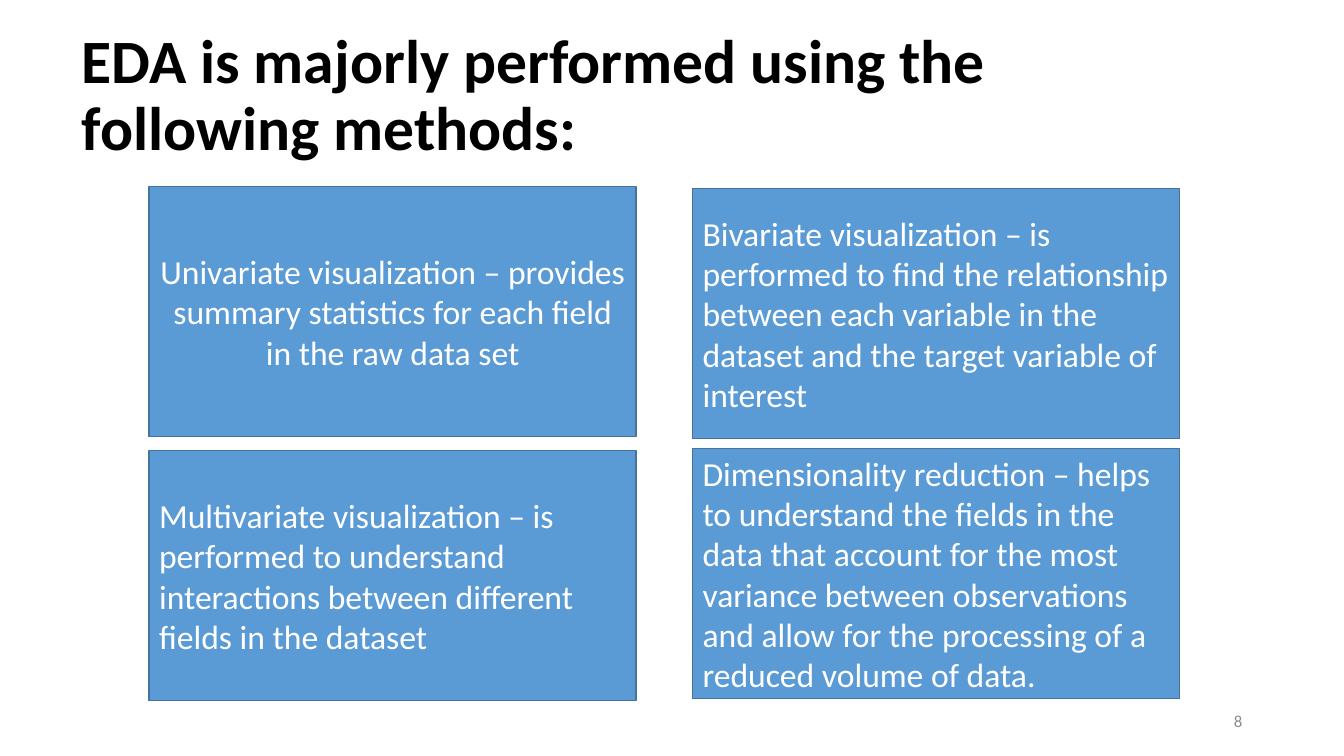
from pptx import Presentation
from pptx.dml.color import RGBColor
from pptx.enum.shapes import MSO_SHAPE
from pptx.enum.text import MSO_ANCHOR, MSO_AUTO_SIZE, PP_ALIGN
from pptx.util import Inches, Pt

RECTANGLE = MSO_SHAPE.RECTANGLE
MIDDLE = MSO_ANCHOR.MIDDLE
NO_AUTOFIT = MSO_AUTO_SIZE.NONE
LEFT, CENTER, RIGHT = PP_ALIGN.LEFT, PP_ALIGN.CENTER, PP_ALIGN.RIGHT

BLACK = RGBColor(0x00, 0x00, 0x00)
WHITE = RGBColor(0xFF, 0xFF, 0xFF)
GRAY = RGBColor(0x8C, 0x8C, 0x8C)
BLUE = RGBColor(0x5B, 0x9B, 0xD5)
DARK_BLUE = RGBColor(0x43, 0x73, 0x9E)

TITLE = "EDA is majorly performed using the following methods:"
METHODS = [
    (0, 0, 0, CENTER, "Univariate visualization – provides summary statistics "
     "for each field in the raw data set"),
    (1, 0, 0.02, LEFT, "Bivariate visualization – is performed to find the "
     "relationship between each variable in the dataset and the target "
     "variable of interest"),
    (0, 1, 0, LEFT, "Multivariate visualization – is performed to understand "
     "interactions between different fields in the dataset"),
    (1, 1, -0.02, LEFT, "Dimensionality reduction – helps to understand the "
     "fields in the data that account for the most variance between "
     "observations and allow for the processing of a reduced volume of data."),
]


class MethodsSlide:
    """Builds the slide from a title, a grid of method cards and a number."""

    font_name = "Calibri"
    grid_left, grid_top = 1.48, 1.85
    column_step, row_step = 5.39, 2.62
    card_width, card_height = 4.83, 2.48

    def __init__(self, deck):
        self.slide = deck.slides.add_slide(deck.slide_layouts[5])

    def set_text(self, box, text, size, color, align, bold=False):
        frame = box.text_frame
        frame.word_wrap = True
        frame.auto_size = NO_AUTOFIT
        frame.vertical_anchor = MIDDLE
        frame.text = text
        paragraph = frame.paragraphs[0]
        paragraph.alignment = align
        font = paragraph.font
        font.name, font.size, font.bold = self.font_name, Pt(size), bold
        font.color.rgb = color

    def title(self, text):
        box = self.slide.shapes.title
        box.left, box.top = Inches(0.71), Inches(0.57)
        box.width, box.height = Inches(11.5), Inches(1.45)
        self.set_text(box, text, 44, BLACK, LEFT, bold=True)
        box.text_frame.margin_bottom = Inches(0.71)
        box.text_frame.paragraphs[0].line_spacing = 0.9

    def card(self, column, row, shift, align, text):
        left = self.grid_left + column * self.column_step
        top = self.grid_top + row * self.row_step + shift
        box = self.slide.shapes.add_shape(
            RECTANGLE, Inches(left), Inches(top),
            Inches(self.card_width), Inches(self.card_height))
        box.shadow.inherit = False
        box.fill.solid()
        box.fill.fore_color.rgb = BLUE
        box.line.color.rgb = DARK_BLUE
        box.line.width = Pt(1)
        self.set_text(box, text, 24, WHITE, align)

    def number(self, text):
        box = self.slide.shapes.add_textbox(
            Inches(9.42), Inches(6.95), Inches(3), Inches(0.4))
        self.set_text(box, text, 12, GRAY, RIGHT)


def main():
    deck = Presentation()
    deck.slide_width, deck.slide_height = Inches(13.33), Inches(7.5)
    page = MethodsSlide(deck)
    page.title(TITLE)
    page.number("8")
    for method in METHODS:
        page.card(*method)
    deck.save("out.pptx")


if __name__ == "__main__":
    main()
